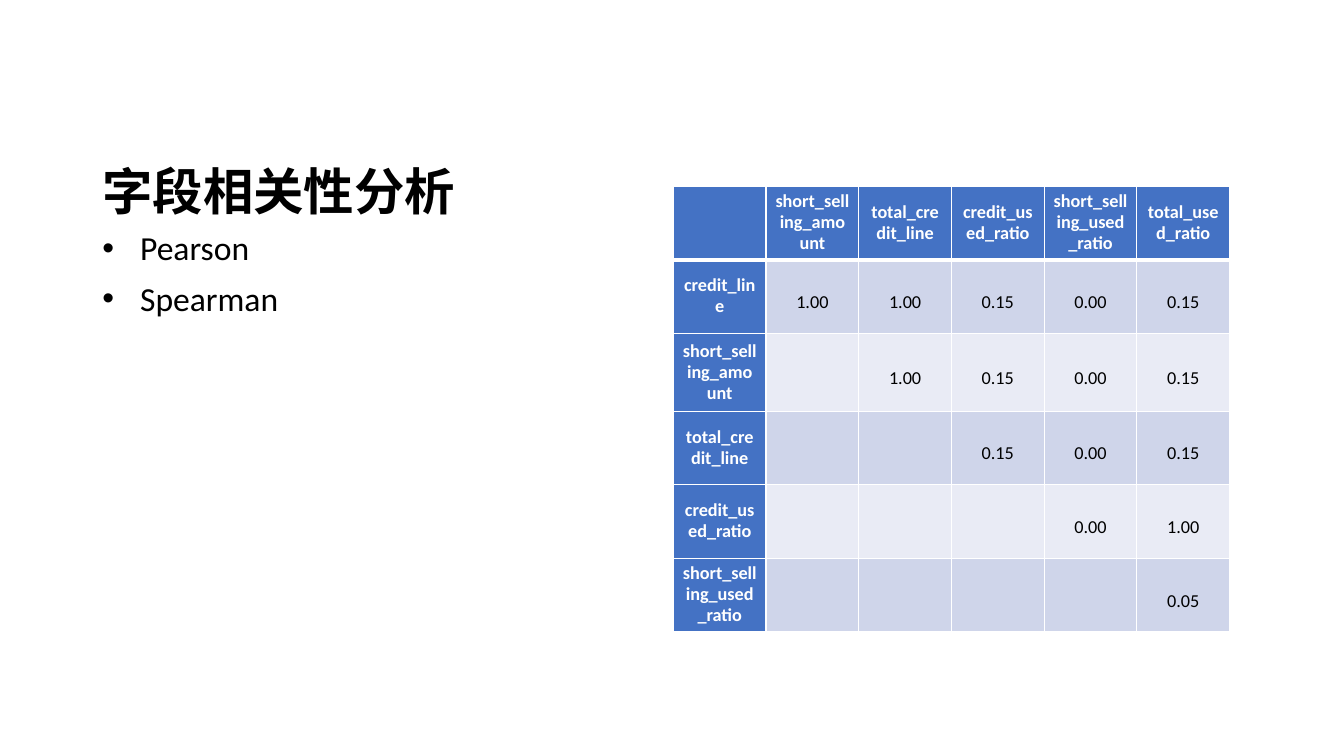
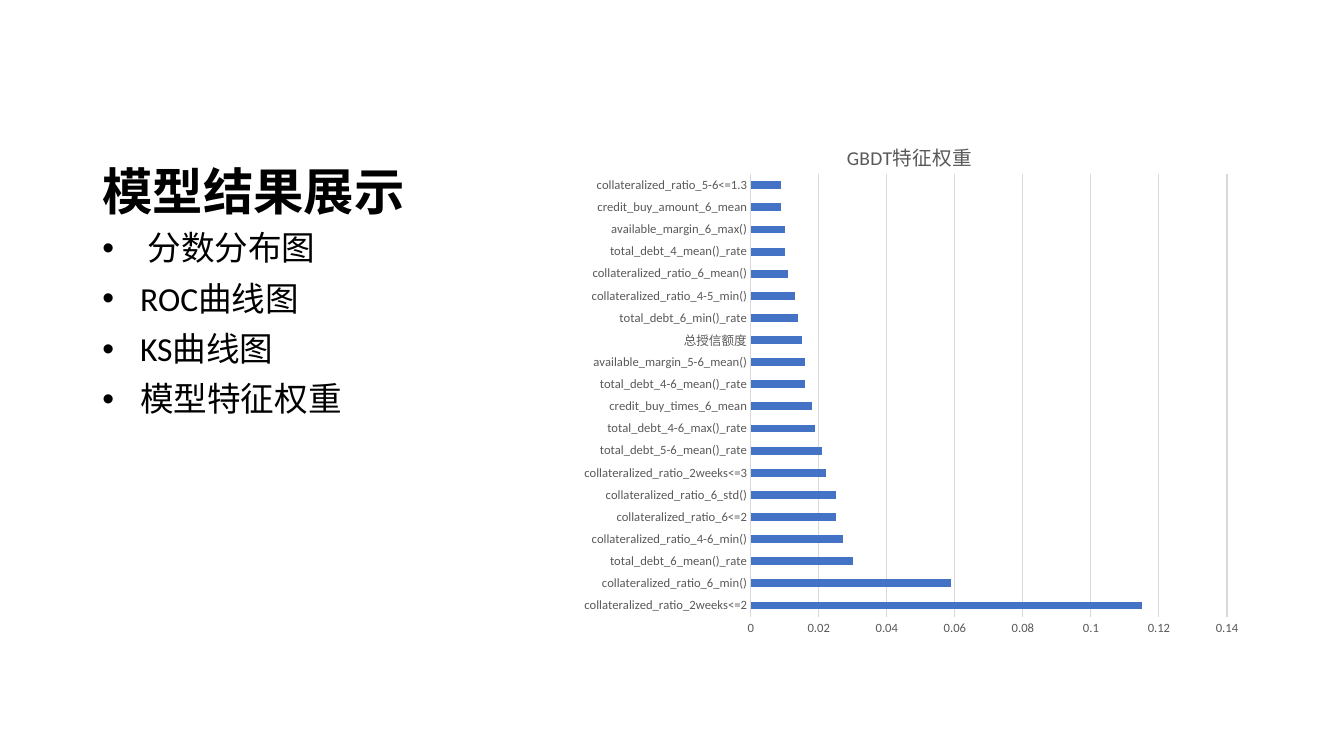
from lxml import etree
from pptx import Presentation
from pptx.chart.data import CategoryChartData
from pptx.dml.color import RGBColor
from pptx.enum import chart as ch, text
from pptx.oxml import parse_xml
from pptx.oxml.ns import nsdecls, qn
from pptx.util import Pt

FONT = "Calibri"
BLACK = RGBColor(0x00, 0x00, 0x00)
WHITE = RGBColor(0xFF, 0xFF, 0xFF)
BLUE = RGBColor(0x44, 0x72, 0xC4)
BAND_DARK = RGBColor(0xCF, 0xD5, 0xEA)
BAND_LIGHT = RGBColor(0xE9, 0xEB, 0xF5)
GRID = RGBColor(0xD9, 0xD9, 0xD9)
GREY = RGBColor(0x59, 0x59, 0x59)

# Boxes: left, top, width, height in points
TITLE_BOX = (66, 36, 309.6, 126)
BODY_BOX = (66, 162, 309.6, 300)
TABLE_BOX = (480.96, 133.2, 397.44, 318.24)
CHART_BOX = (408, 78, 486, 384)

FIELDS = ["credit_line", "short_selling_amount", "total_credit_line",
          "credit_used_ratio", "short_selling_used_ratio", "total_used_ratio"]
CORRELATIONS = [
    ["1.00", "1.00", "0.15", "0.00", "0.15"],
    ["1.00", "0.15", "0.00", "0.15"],
    ["0.15", "0.00", "0.15"],
    ["0.00", "1.00"],
    ["0.05"],
]
WEIGHTS = [
    ("collateralized_ratio_2weeks<=2", 0.115),
    ("collateralized_ratio_6_min()", 0.059),
    ("total_debt_6_mean()_rate", 0.03),
    ("collateralized_ratio_4-6_min()", 0.027),
    ("collateralized_ratio_6<=2", 0.025),
    ("collateralized_ratio_6_std()", 0.025),
    ("collateralized_ratio_2weeks<=3", 0.022),
    ("total_debt_5-6_mean()_rate", 0.021),
    ("total_debt_4-6_max()_rate", 0.019),
    ("credit_buy_times_6_mean", 0.018),
    ("total_debt_4-6_mean()_rate", 0.016),
    ("available_margin_5-6_mean()", 0.016),
    ("总授信额度", 0.015),
    ("total_debt_6_min()_rate", 0.014),
    ("collateralized_ratio_4-5_min()", 0.013),
    ("collateralized_ratio_6_mean()", 0.011),
    ("total_debt_4_mean()_rate", 0.01),
    ("available_margin_6_max()", 0.01),
    ("credit_buy_amount_6_mean", 0.009),
    ("collateralized_ratio_5-6<=1.3", 0.009),
]


def set_font(font, size, color, bold=False):
    font.name, font.size, font.bold = FONT, Pt(size), bold
    font.color.rgb = color


def write(p, words, size=24, color=BLACK, bold=False, align=None,
          spacing=0.9, before=0, bullet=False):
    """Fill one paragraph with formatted text."""
    p.alignment, p.line_spacing, p.space_before = align, spacing, Pt(before)
    r = p.add_run()
    r.text = words
    set_font(r.font, size, color, bold)
    if bullet:
        pPr = p._p.get_or_add_pPr()
        pPr.set("marL", str(Pt(27)))
        pPr.set("indent", str(-Pt(27)))
        etree.SubElement(pPr, qn("a:buFont"), typeface="Arial")
        etree.SubElement(pPr, qn("a:buChar"), char="•")


def add_text(slide, box, lines, anchor=text.MSO_ANCHOR.TOP, **fmt):
    tf = slide.shapes.add_textbox(*map(Pt, box)).text_frame
    tf.word_wrap, tf.vertical_anchor = True, anchor
    for i, line in enumerate(lines):
        write(tf.add_paragraph() if i else tf.paragraphs[0], line, **fmt)


def add_topic_slide(prs, title, bullets):
    """Slide with a title and bullets on the left."""
    slide = prs.slides.add_slide(prs.slide_layouts[6])
    add_text(slide, TITLE_BOX, [title], anchor=text.MSO_ANCHOR.BOTTOM, size=36, bold=True)
    add_text(slide, BODY_BOX, bullets, before=10, bullet=True)
    return slide


def style_cell(cell, fill, top=1, bottom=1):
    tcPr = cell._tc.get_or_add_tcPr()
    for side, width in (("L", 1), ("R", 1), ("T", top), ("B", bottom)):
        tcPr.append(parse_xml(
            f'<a:ln{side} {nsdecls("a")} w="{Pt(width)}"><a:solidFill>'
            f'<a:srgbClr val="{WHITE}"/></a:solidFill></a:ln{side}>'))
    cell.fill.solid()
    cell.fill.fore_color.rgb = fill
    cell.vertical_anchor = text.MSO_ANCHOR.MIDDLE
    cell.margin_left = cell.margin_right = Pt(6.75)
    cell.margin_top = cell.margin_bottom = 0


def add_correlation_table(slide, box):
    n = len(FIELDS)
    table = slide.shapes.add_table(n, n, *map(Pt, box)).table
    for column in table.columns:
        column.width = Pt(box[2] / n)
    for i, row in enumerate(table.rows):
        row.height = Pt(55.44 if i == 2 else 52.56)
    for i in range(n):
        for j in range(n):
            cell = table.cell(i, j)
            is_head = i == 0 or j == 0
            band = BAND_DARK if i % 2 else BAND_LIGHT
            style_cell(cell, BLUE if is_head else band,
                       top=3 if i == 1 else 1, bottom=3 if i == 0 else 1)
            # Only the upper triangle holds values
            if is_head:
                words = FIELDS[j] if i == 0 else FIELDS[i - 1]
            else:
                words = CORRELATIONS[i - 1][j - i] if j >= i else ""
            if words and (i or j):
                write(cell.text_frame.paragraphs[0], words, size=13, bold=is_head,
                      color=WHITE if is_head else BLACK,
                      align=text.PP_ALIGN.CENTER, spacing=Pt(15 if is_head else 24))


def set_layout(parent, index, target=None, **fractions):
    """Place a chart part by fractions of the chart area."""
    for old in parent.findall(qn("c:layout")):
        parent.remove(old)
    layout = etree.Element(qn("c:layout"))
    manual = etree.SubElement(layout, qn("c:manualLayout"))
    if target:
        etree.SubElement(manual, qn("c:layoutTarget"), val=target)
    for axis in "xy":
        etree.SubElement(manual, qn(f"c:{axis}Mode"), val="edge")
    for key, value in fractions.items():
        etree.SubElement(manual, qn(f"c:{key}"), val=str(value))
    parent.insert(index, layout)


def style_line(line, color):
    line.width = Pt(0.75)
    line.color.rgb = color


def add_weight_chart(slide, box):
    data = CategoryChartData()
    data.categories = [name for name, _ in WEIGHTS]
    data.add_series("Series 1", [weight for _, weight in WEIGHTS])
    chart = slide.shapes.add_chart(ch.XL_CHART_TYPE.BAR_CLUSTERED, *map(Pt, box), data).chart
    set_font(chart.font, 10, BLACK)
    chart.has_legend = False

    # Title and plot area
    chart.has_title = True
    title = chart.chart_title
    write(title.text_frame.paragraphs[0], "GBDT特征权重", size=14, color=GREY, spacing=None)
    title.include_in_layout = False
    set_layout(title._element, 1, x=0.4, y=0.05)
    set_layout(chart._chartSpace.chart.plotArea, 0, target="inner",
               x=0.264, y=0.121, w=0.7, h=0.823)

    # Bars
    plot = chart.plots[0]
    plot.gap_width, plot.vary_by_categories = 182, False
    fill = plot.series[0].format.fill
    fill.solid()
    fill.fore_color.rgb = BLUE

    # Axes
    names, values = chart.category_axis, chart.value_axis
    for axis in (names, values):
        axis.major_tick_mark = axis.minor_tick_mark = ch.XL_TICK_MARK.NONE
        set_font(axis.tick_labels.font, 9, GREY)
    style_line(names.format.line, GRID)
    values.minimum_scale, values.maximum_scale, values.major_unit = 0, 0.14, 0.02
    values.format.line.fill.background()
    style_line(values.major_gridlines.format.line, GRID)


prs = Presentation()
prs.slide_width, prs.slide_height = Pt(960), Pt(540)
add_correlation_table(
    add_topic_slide(prs, "字段相关性分析", ["Pearson", "Spearman"]), TABLE_BOX)
add_weight_chart(
    add_topic_slide(prs, "模型结果展示",
                    [" 分数分布图", "ROC曲线图", "KS曲线图", "模型特征权重"]), CHART_BOX)
prs.save("out.pptx")
